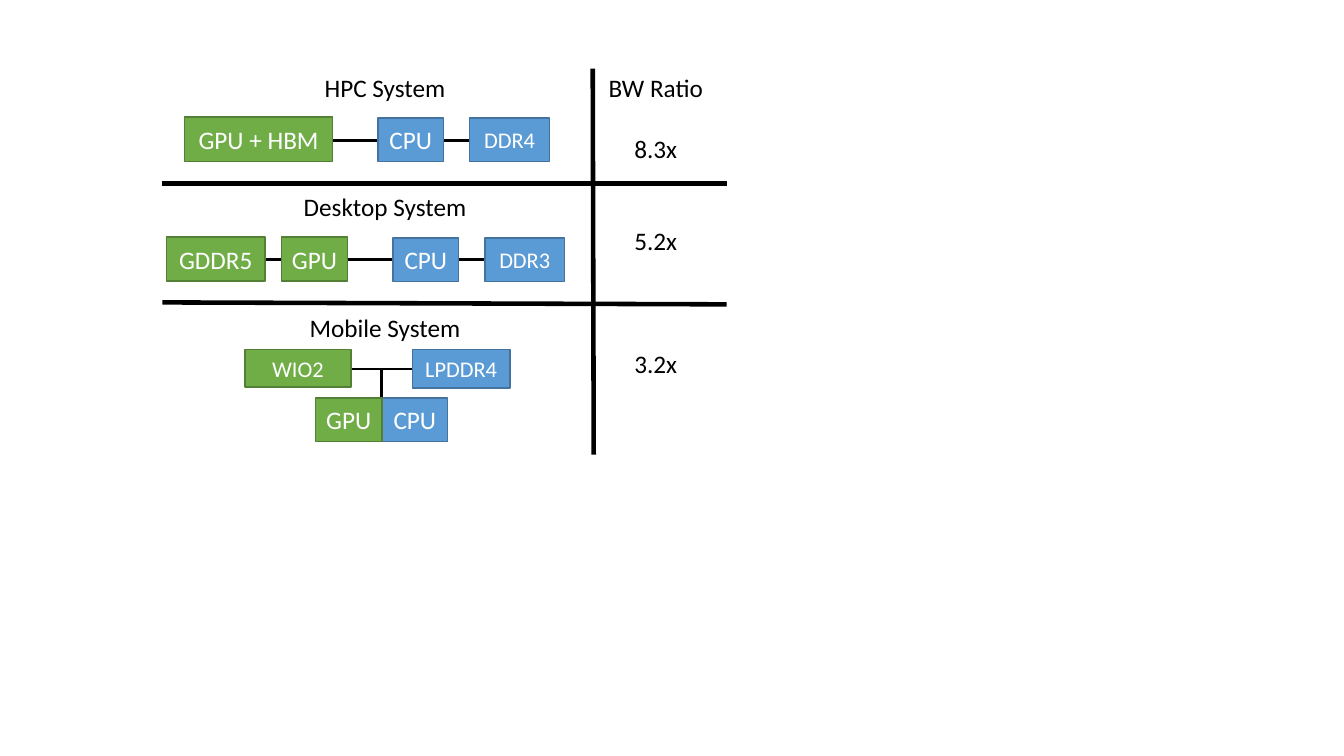
import pptx
import pptx.dml.color
import pptx.enum.shapes
import pptx.enum.text
import pptx.oxml.ns
import pptx.util
from lxml import etree

Pt = pptx.util.Pt
CENTER = pptx.enum.text.PP_ALIGN.CENTER
MIDDLE = pptx.enum.text.MSO_ANCHOR.MIDDLE
GREEN, BLUE = ("70AD47", "538035"), ("5B9BD5", "43739E")


def rgb(value):
    """Turn a hex string into a colour."""
    return pptx.dml.color.RGBColor.from_string(value)


def write(p, text, size, color):
    """Write one centred run into a paragraph."""
    p.alignment = CENTER
    r = p.add_run()
    r.text = text
    for name, value in {"name": "Calibri", "size": Pt(size)}.items():
        setattr(r.font, name, value)
    r.font.color.rgb = rgb(color)


def line(s, x1, y1, x2, y2, width):
    """Draw a plain black line."""
    kind = pptx.enum.shapes.MSO_CONNECTOR.STRAIGHT
    sp = s.shapes.add_connector(kind, Pt(x1), Pt(y1), Pt(x2), Pt(y2))
    sp.line.color.rgb = rgb("000000")
    sp.line.width = Pt(width)
    sp_pr = sp._element.find(pptx.oxml.ns.qn("p:spPr"))
    etree.SubElement(sp_pr, pptx.oxml.ns.qn("a:effectLst"))


def block(s, x, y, w, h, text, size, colors):
    """Draw one labelled processor or memory block."""
    kind = pptx.enum.shapes.MSO_SHAPE.RECTANGLE
    sp = s.shapes.add_shape(kind, Pt(x), Pt(y), Pt(w), Pt(h))
    sp.shadow.inherit = False
    sp.fill.solid()
    sp.fill.fore_color.rgb = rgb(colors[0])
    sp.line.color.rgb = rgb(colors[1])
    sp.line.width = Pt(1)
    tf = sp.text_frame
    for name, value in {"word_wrap": False, "vertical_anchor": MIDDLE}.items():
        setattr(tf, name, value)
    write(tf.paragraphs[0], text, size, "FFFFFF")


def system(s, x, y, title, wires, blocks):
    """Place a system's title, wires and blocks relative to its corner."""
    sp = s.shapes.add_textbox(Pt(x + 93), Pt(y), Pt(132), Pt(29))
    sp.text_frame.word_wrap = True
    write(sp.text_frame.paragraphs[0], title, 18, "000000")
    for x1, y1, x2, y2 in wires:
        line(s, x + x1, y + y1, x + x2, y + y2, 2)
    for left, top, w, h, *label in blocks:
        block(s, x + left, y + top, w, h, *label)


def ratios(s, x, y, w, h, entries):
    """Stack the bandwidth ratios with the given gaps above them."""
    sp = s.shapes.add_textbox(Pt(x), Pt(y), Pt(w), Pt(h))
    tf = sp.text_frame
    tf.word_wrap = True
    for i, (text, gap) in enumerate(entries):
        p = tf.add_paragraph() if i else tf.paragraphs[0]
        p.space_before = Pt(gap)
        write(p, text, 18, "000000")


def dividers(s, x, y, w, h):
    """Draw the two row rules and the column rule."""
    line(s, x, y + 82, x + w, y + 82, 3.25)
    line(s, x, y + 167, x + w, y + 168.4, 3.25)
    line(s, x + 307.4, y, x + 308.1, y + h, 3.25)


def main():
    """Build and save the slide."""
    prs = pptx.Presentation()
    prs.slide_width, prs.slide_height = Pt(960), Pt(540)
    s = prs.slides.add_slide(prs.slide_layouts[6])
    left = 116
    dividers(s, left, 49, 403, 275.7)
    system(s, left, 48.2, "HPC System", [(100, 52, 225, 52)], [
        (15.8, 35.3, 105.8, 31.7, "GPU + HBM", 18, GREEN),
        (154, 36, 46.8, 31, "CPU", 18, BLUE),
        (219.5, 36, 57, 31, "DDR4", 16, BLUE)])
    system(s, left, 133.2, "Desktop System", [(60, 52, 235, 52)], [
        (2.8, 36, 70.6, 31.7, "GDDR5", 18, GREEN),
        (84.9, 36, 47.5, 31.7, "GPU", 18, GREEN),
        (164.8, 36.7, 46.8, 31, "CPU", 18, BLUE),
        (230.3, 36.7, 57, 31, "DDR3", 16, BLUE)])
    system(s, left, 219.6, "Mobile System",
           [(130, 44, 185, 44), (156.5, 44, 156.5, 80)], [
               (59, 30.2, 75.6, 26.6, "WIO2", 16, GREEN),
               (178.5, 30.2, 69.8, 27.4, "LPDDR4", 16, BLUE),
               (156.9, 64.8, 46.8, 31, "CPU", 18, BLUE),
               (109.4, 64.8, 47.5, 31, "GPU", 18, GREEN)])
    ratios(s, 427, 48.2, 82.8, 225.4,
           [("BW Ratio", 0), ("8.3x", 22), ("5.2x", 44), ("3.2x", 66)])
    prs.save("out.pptx")


main()
